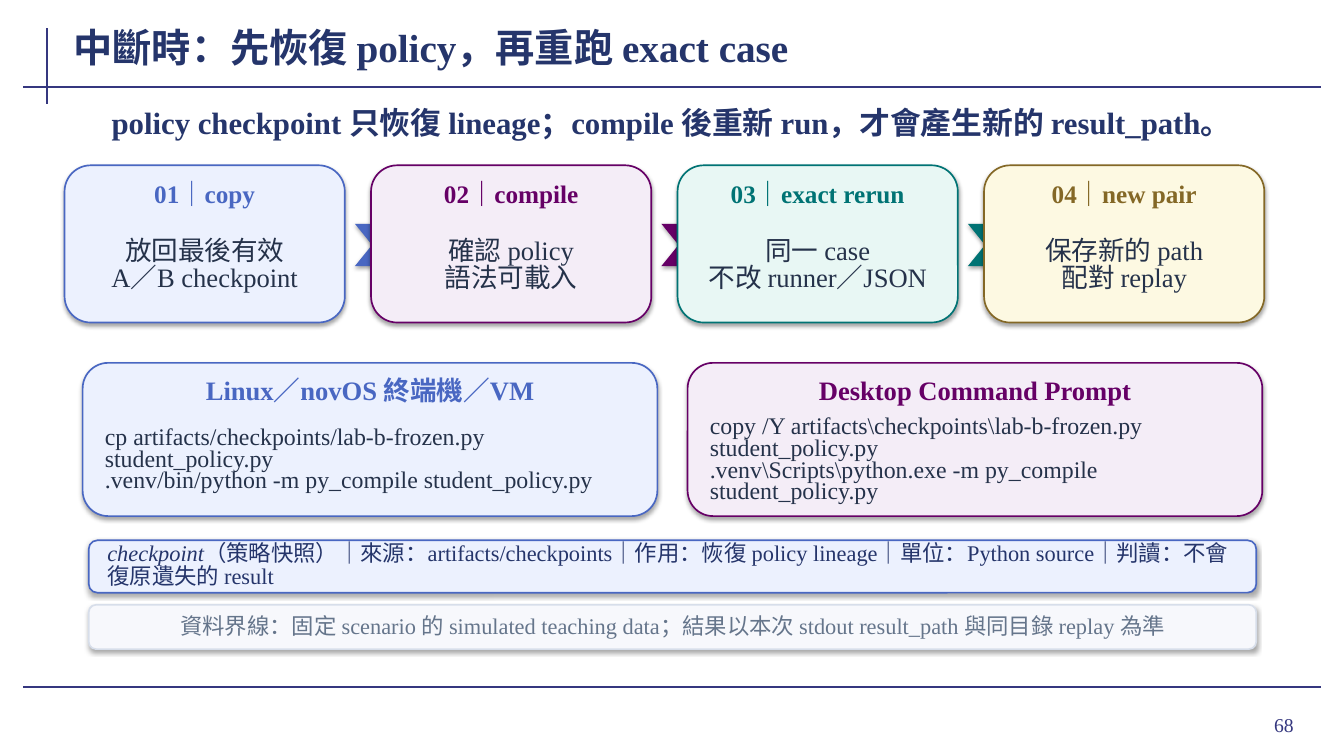
from lxml.etree import SubElement as Sub
from pptx import Presentation
from pptx.dml.color import RGBColor
from pptx.enum.shapes import MSO_CONNECTOR as Link, MSO_SHAPE as Kind
from pptx.enum.text import MSO_ANCHOR as Anchor, MSO_AUTO_SIZE as Auto, PP_ALIGN as Align
from pptx.oxml.ns import qn
from pptx.util import Pt

PX = 9144
NAVY, INK, RULE = "25356B", "25324A", "35377F"
BLUE, PLUM, TEAL, GOLD = "4967C2", "660066", "007374", "846826"
ICE, LILAC, MINT, CREAM = "ECF1FE", "F4EDF7", "E8F7F4", "FDF9E2"
hue = RGBColor.from_string

deck = Presentation()
deck.slide_width, deck.slide_height = 1333 * PX, 750 * PX
slide = deck.slides.add_slide(deck.slide_layouts[6])
shapes = slide.shapes


def panel(kind, spot, fill, edge=None):
    shape = shapes.add_shape(kind, *[n * PX for n in spot])
    shape.fill.solid()
    shape.fill.fore_color.rgb = hue(fill)
    if edge:
        shape.line.color.rgb = hue(edge)
        shape.line.width = Pt(1.2)
    else:
        shape.line.fill.background()
    shape.shadow.inherit = False
    glow = Sub(shape._element.spPr.find(qn("a:effectLst")), qn("a:outerShdw"),
               blurRad="39370", dist="22860", dir="5400000", rotWithShape="0")
    tint = Sub(glow, qn("a:srgbClr"), val="000000")
    Sub(tint, qn("a:alpha"), val="35000")
    return shape


def write(text, spot=None, shape=None, size=16, color=INK, bold=False,
          align=Align.CENTER, gap=1.0, pad=(2, 0), grow=False, lead=""):
    shape = shape or shapes.add_textbox(*[n * PX for n in spot])
    frame = shape.text_frame
    frame.word_wrap = True
    frame.auto_size = Auto.SHAPE_TO_FIT_TEXT if grow else Auto.NONE
    frame.vertical_anchor = Anchor.MIDDLE
    frame.margin_left = frame.margin_right = pad[0] * PX
    frame.margin_top = frame.margin_bottom = pad[1] * PX
    for i, line in enumerate(text.split("\n")):
        para = frame.add_paragraph() if i else frame.paragraphs[0]
        para.alignment = align
        para.line_spacing = gap
        for part in filter(None, (lead, line)):
            run = para.add_run()
            run.text = part
            font = run.font
            font.name, font.size = "Times New Roman", Pt(size)
            font.bold, font.italic = bold, part == lead
            font.color.rgb = hue(color)


for ends in [(47, 28, 47, 103), (23, 86, 1310, 86), (23, 682, 1310, 682)]:
    rule = shapes.add_connector(Link.STRAIGHT, *[n * PX for n in ends])
    rule.line.color.rgb = hue(RULE)
    rule.line.width = Pt(1.5)
    Sub(rule._element.spPr, qn("a:effectLst"))

write("68", (1196, 693, 97, 52), size=14, color=RULE, align=Align.RIGHT, pad=(10, 5))
write("中斷時：先恢復 policy，再重跑 exact case", (72, 20, 1035, 53),
      size=28, color=NAVY, bold=True, align=Align.LEFT, pad=(1, 0))
write("policy checkpoint 只恢復 lineage；compile 後重新 run，才會產生新的 result_path。",
      (92, 102, 1148, 42), size=22, color=NAVY, bold=True, gap=0.94, grow=True)

steps = [
    ("copy", "放回最後有效\nA／B checkpoint", BLUE, ICE),
    ("compile", "確認 policy\n語法可載入", PLUM, LILAC),
    ("exact rerun", "同一 case\n不改 runner／JSON", TEAL, MINT),
    ("new pair", "保存新的 path\n配對 replay", GOLD, CREAM),
]
for i, (name, body, color, fill) in enumerate(steps):
    x = 64 + 304 * i
    panel(Kind.ROUNDED_RECTANGLE, (x, 164, 278, 156), fill, color)
    write(f"{i + 1:02}｜{name}", (x + 16, 176, 246, 36),
          size=18, color=color, bold=True, gap=0.92, grow=True)
    write(body, (x + 18, 220, 242, 88), size=19, gap=0.84, pad=(3, 2), grow=True)
    if i < len(steps) - 1:
        panel(Kind.CHEVRON, (x + 288, 222, 34, 42), color)

shells = [
    ("Linux／novOS 終端機／VM",
     "cp artifacts/checkpoints/lab-b-frozen.py student_policy.py\n"
     ".venv/bin/python -m py_compile student_policy.py", BLUE, ICE),
    ("Desktop Command Prompt",
     "copy /Y artifacts\\checkpoints\\lab-b-frozen.py student_policy.py\n"
     ".venv\\Scripts\\python.exe -m py_compile student_policy.py", PLUM, LILAC),
]
for i, (name, code, color, fill) in enumerate(shells):
    x = 82 + 600 * i
    panel(Kind.ROUNDED_RECTANGLE, (x, 360, 570, 152), fill, color)
    write(name, (x + 14, 372, 542, 34),
          size=19, color=color, bold=True, gap=0.86, pad=(1, 0), grow=True)
    write(code, (x + 20, 414, 530, 86), size=17, align=Align.LEFT, gap=0.76, grow=True)

note = panel(Kind.ROUNDED_RECTANGLE, (88, 536, 1158, 52), ICE, BLUE)
write("（策略快照）｜來源：artifacts/checkpoints｜作用：恢復 policy lineage｜"
      "單位：Python source｜判讀：不會復原遺失的 result",
      shape=note, color=NAVY, align=Align.LEFT, gap=0.86, pad=(16, 1), lead="checkpoint")
limit = panel(Kind.ROUNDED_RECTANGLE, (88, 600, 1158, 44), "F7F8FC", "D7DEEA")
write("資料界線：固定 scenario 的 simulated teaching data；"
      "結果以本次 stdout result_path 與同目錄 replay 為準",
      shape=limit, color="65758B", gap=0.9, pad=(3, 1))

deck.save("out.pptx")
